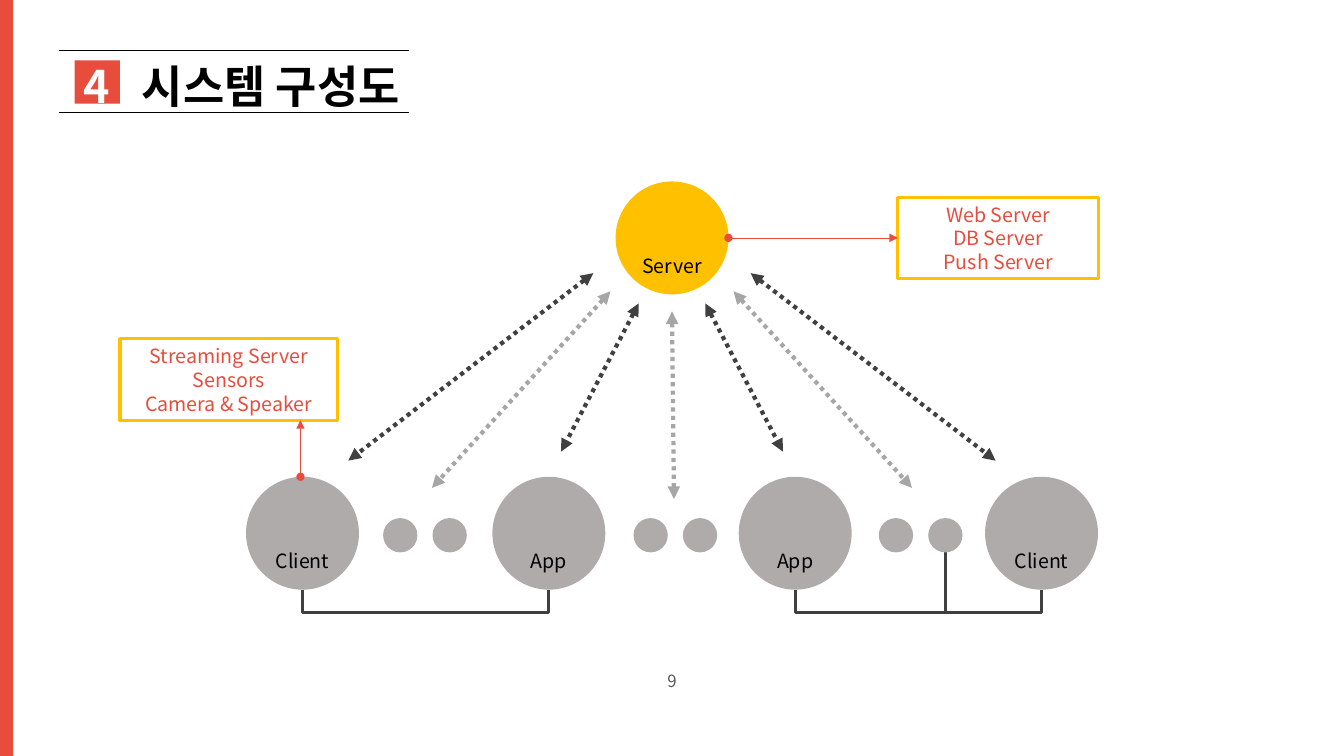
from dataclasses import dataclass

from lxml import etree
from pptx import Presentation
from pptx import util as u
from pptx.dml.color import RGBColor
from pptx.enum import dml, shapes, text
from pptx.oxml.ns import qn


@dataclass(frozen=True)
class Theme:
    font: str = "Noto Sans CJK KR"
    red: str = "E74C3C"
    amber: str = "FFC000"
    node: str = "AFABAB"
    dark: str = "404040"
    pale: str = "A6A6A6"
    footer: str = "595959"
    black: str = "000000"
    white: str = "FFFFFF"
    title_size: int = 32
    label_size: int = 14
    footer_size: int = 12
    hairline: float = 0.5
    border: float = 2.25
    dotted: float = 3


T = Theme()
SLIDE_W, SLIDE_H = 13.33, 7.5


def rgb(code):
    return RGBColor.from_string(code)


def inches(*lengths):
    return [u.Inches(length) for length in lengths]


# Basic parts
def add_block(slide, kind, box, fill=None, outline=None):
    block = slide.shapes.add_shape(kind, *inches(*box))
    block.shadow.inherit = False
    if fill:
        block.fill.solid()
        block.fill.fore_color.rgb = rgb(fill)
    else:
        block.fill.background()
    if outline:
        block.line.color.rgb = rgb(outline)
        block.line.width = u.Pt(T.border)
    else:
        block.line.fill.background()
    return block


def add_circle(slide, left, top, size, fill):
    return add_block(slide, shapes.MSO_SHAPE.OVAL, (left, top, size, size), fill)


def add_line(slide, start, end, color, width, head=None, tail=None, dotted=False):
    line = slide.shapes.add_connector(
        shapes.MSO_CONNECTOR.STRAIGHT, *inches(*start, *end))
    line.line.color.rgb = rgb(color)
    line.line.width = u.Pt(width)
    if dotted:
        line.line.dash_style = dml.MSO_LINE.ROUND_DOT
    ln = line.line._get_or_add_ln()
    for tag, style in (("a:headEnd", head), ("a:tailEnd", tail)):
        if style:
            etree.SubElement(ln, qn(tag)).set("type", style)
    etree.SubElement(line._element.spPr, qn("a:effectLst"))
    return line


def write(frame, lines, size, color, pitch, align=text.PP_ALIGN.CENTER):
    frame.word_wrap = True
    for i, words in enumerate(lines):
        paragraph = frame.paragraphs[0] if i == 0 else frame.add_paragraph()
        paragraph.text = words
        paragraph.alignment = align
        paragraph.line_spacing = u.Pt(pitch)
        paragraph.font.size = u.Pt(size)
        paragraph.font.name = T.font
        paragraph.font.color.rgb = rgb(color)
        props = paragraph._p.pPr.find(qn("a:defRPr"))
        etree.SubElement(props, qn("a:ea")).set("typeface", T.font)


def add_label(slide, box, words, size, color, pitch):
    label = slide.shapes.add_textbox(*inches(*box))
    write(label.text_frame, [words], size, color, pitch)
    return label


# Heading: numbered square and title between two rules
def add_heading(slide, box, number, title):
    left, top, width, height = box
    add_block(slide, shapes.MSO_SHAPE.RECTANGLE,
              (left + 0.15, top + 0.1, 0.45, 0.43), T.red)
    heading = slide.shapes.add_textbox(*inches(left + 0.14, top, 5.46, 0.64))
    heading.text_frame.word_wrap = True
    paragraph = heading.text_frame.paragraphs[0]
    paragraph.line_spacing = u.Pt(41)
    tabs = etree.SubElement(paragraph._p.get_or_add_pPr(), qn("a:tabLst"))
    etree.SubElement(tabs, qn("a:tab"), pos=str(u.Inches(0.58)), algn="l")
    for words, color in ((number, T.white), ("\t" + title, T.black)):
        run = paragraph.add_run()
        run.text = words
        run.font.color.rgb = rgb(color)
        run.font.bold = True
        run.font.size = u.Pt(T.title_size)
        run.font.name = T.font
        etree.SubElement(run._r.rPr, qn("a:ea")).set("typeface", T.font)
    for y in (top, top + height):
        add_line(slide, (left, y), (left + width, y), T.black, T.hairline)


# Frame: side bar and page number
def add_frame(slide, page):
    add_block(slide, shapes.MSO_SHAPE.RECTANGLE, (0, 0, 0.13, SLIDE_H), T.red)
    number = add_label(slide, ((SLIDE_W - 3) / 2, 6.55, 3, 0.4), page,
                       T.footer_size, T.footer, 15)
    number.text_frame.vertical_anchor = text.MSO_ANCHOR.MIDDLE


def add_bracket(slide, left, right, top, bottom):
    builder = slide.shapes.build_freeform(*inches(left, top), scale=1.0)
    corners = ((left, bottom), (right, bottom), (right, top))
    builder.add_line_segments([inches(*c) for c in corners], close=False)
    bracket = builder.convert_to_shape()
    bracket.shadow.inherit = False
    bracket.fill.background()
    bracket.line.color.rgb = rgb(T.dark)
    bracket.line.width = u.Pt(T.border)


def add_node(slide, left, top, size, name, fill):
    add_circle(slide, left, top, size, fill)
    add_label(slide, (left, top + 0.66, size, 0.34), name,
              T.label_size, T.black, 17.5)


def add_callout(slide, box, lines):
    callout = add_block(slide, shapes.MSO_SHAPE.RECTANGLE, box, outline=T.amber)
    callout.text_frame.vertical_anchor = text.MSO_ANCHOR.MIDDLE
    write(callout.text_frame, lines, T.label_size, T.red, 17)
    return callout


# Diagram: one server above a row of clients and apps
def add_diagram(slide, box):
    left, top, width, height = box
    node, dot = 1.12, 0.34
    names = ("Client", "App", "App", "Client")
    pitch = (width - node) / (len(names) - 1)
    columns = [left + i * pitch for i in range(len(names))]
    centers = [x + node / 2 for x in columns]
    row, bottom = top + 2.93, top + height
    server_x, server_y = left + width / 2, top + node / 2

    # Links under the row
    dot_link = columns[2] + 2.05
    add_line(slide, (dot_link, bottom), (dot_link, row + 0.73), T.dark, T.border)
    for first, last in ((0, 1), (2, 3)):
        add_bracket(slide, centers[first], centers[last], row + node, bottom)

    # Nodes
    add_node(slide, server_x - node / 2, top, node, "Server", T.amber)
    for x, name in zip(columns, names):
        add_node(slide, x, row, node, name, T.node)
    for x, gap in zip(columns, (1.36, 1.4, 1.39)):
        for step in (0, 0.49):
            add_circle(slide, x + gap + step, row + 0.41, dot, T.node)

    # Two-way traffic, mirrored about the server
    spokes = ((0.78, 0.35, 3.21, 2.21, T.dark), (0.33, 0.65, 1.1, 2.12, T.dark),
              (0.61, 0.53, 2.38, 2.48, T.pale), (0, 0.73, 0.02, 2.59, T.pale))
    for x1, y1, x2, y2, color in spokes:
        for side in (-1, 1) if x1 else (1,):
            add_line(slide, (server_x + side * x1, server_y + y1),
                     (server_x + side * x2, server_y + y2), color, T.dotted,
                     "triangle", "triangle", dotted=True)

    # Callouts
    tall = 0.81
    services = add_callout(slide, (server_x + 2.24, server_y - tall / 2, 1.99, tall),
                           ("Web Server", "DB Server", "Push Server"))
    lead = add_line(slide, (server_x + node / 2, server_y),
                    (server_x + 2.24, server_y), T.red, T.hairline,
                    "oval", "triangle")
    lead.end_connect(services, 1)
    device_top = row - 0.56 - tall
    add_callout(slide, (left - 1.25, device_top, 2.16, tall),
                ("Streaming Server", "Sensors", "Camera & Speaker"))
    add_line(slide, (centers[0] - 0.02, row), (centers[0] - 0.02, device_top + tall),
             T.red, T.hairline, "oval", "triangle")


def main():
    deck = Presentation()
    deck.slide_width, deck.slide_height = inches(SLIDE_W, SLIDE_H)
    slide = deck.slides.add_slide(deck.slide_layouts[6])
    add_heading(slide, (0.59, 0.5, 3.47, 0.61), "4", "시스템 구성도")
    add_frame(slide, "9")
    add_diagram(slide, (2.44, 1.8, 8.45, 4.28))
    deck.save("out.pptx")


if __name__ == "__main__":
    main()
